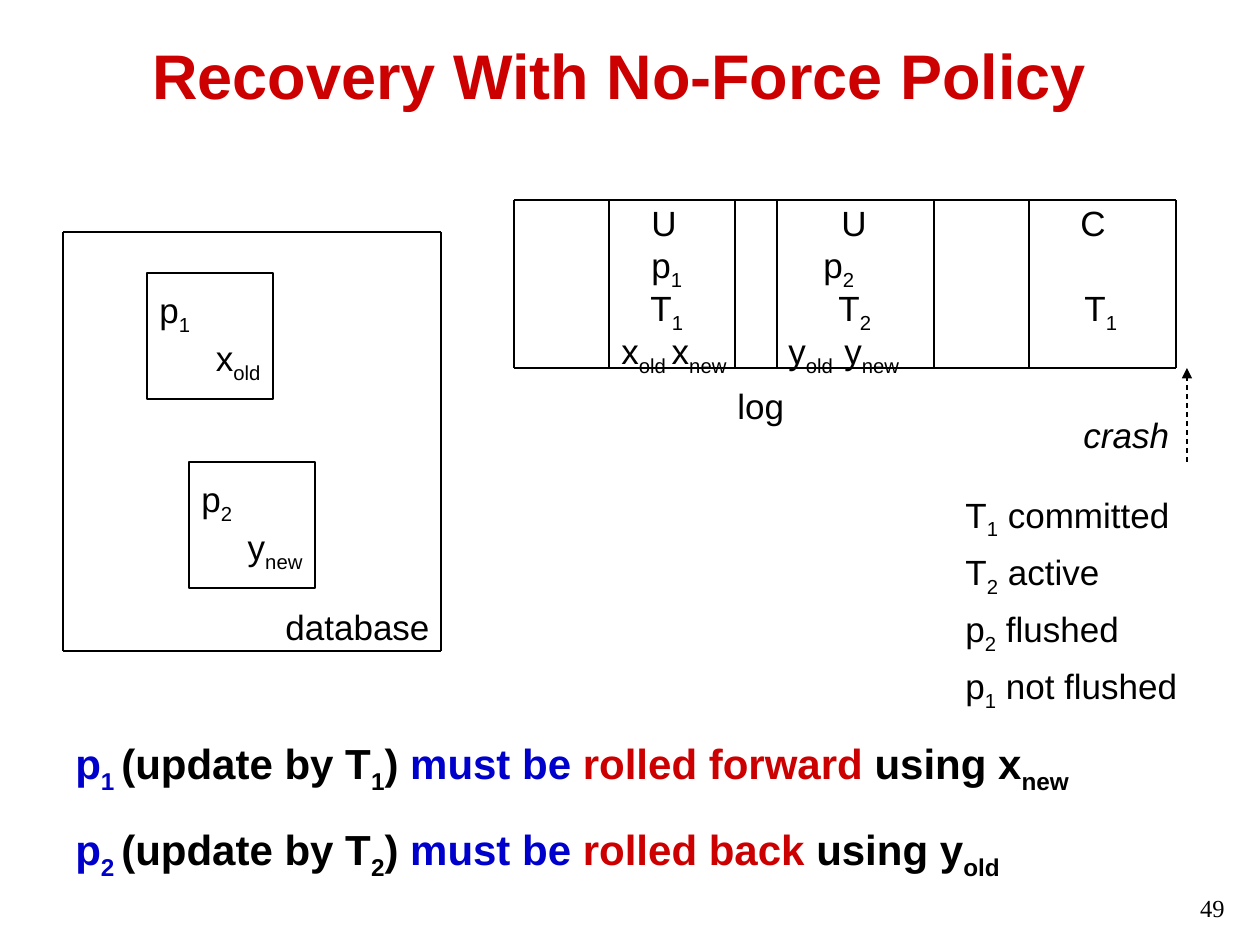
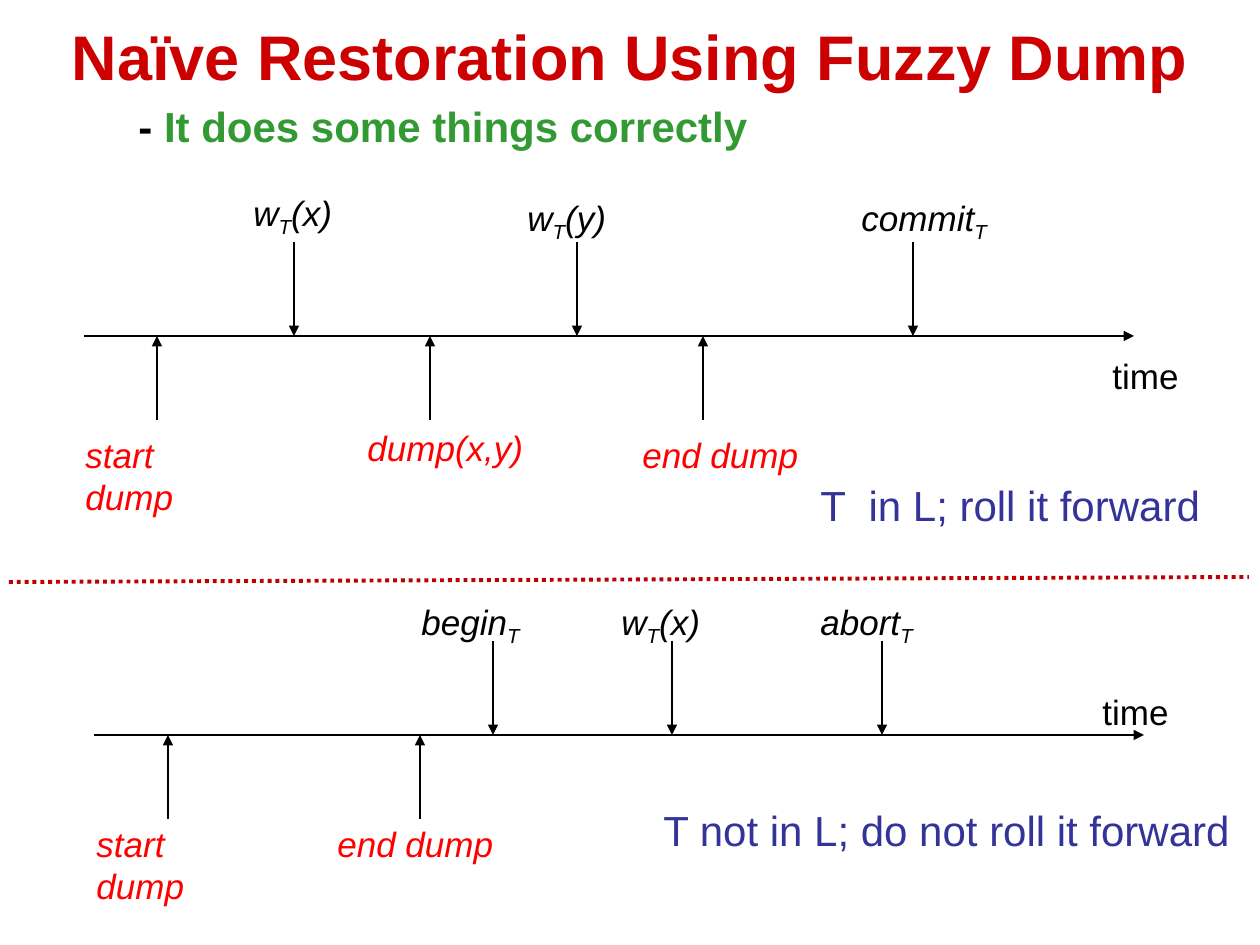
from lxml.etree import SubElement
from pptx import Presentation
from pptx.dml.color import RGBColor
from pptx.enum.dml import MSO_LINE
from pptx.enum.shapes import MSO_CONNECTOR, MSO_SHAPE
from pptx.enum.text import MSO_ANCHOR as Anchor, MSO_AUTO_SIZE as AutoSize, PP_ALIGN as Align
from pptx.oxml.ns import qn
from pptx.util import Emu, Pt

PX_PER_INCH = 126
BLACK, WHITE, RED = "000000", "FFFFFF", "CC0000"
BLUE, GREEN, INDIGO, DUMP_RED, DIVIDER_RED = "0000CC", "339933", "333399", "FF0000", "C00000"
BODY_FONT, NUMBER_FONT = "Arial", "Times New Roman"

RECOVERY_TITLE = ("Recovery With No-Force Policy", (84, 32, 1071, 84))
RESTORATION_TITLE = ("Naïve Restoration Using Fuzzy Dump", (0, 0, 1260, 110))
SLIDE_NUMBER = ("49", (1114, 887, 123, 44))

DATABASE = (63, 232, 441, 651)
DATABASE_PAGES = [
    ((147, 273), "p_1_", "x_old_"),
    ((189, 462), "p_2_", "y_new_"),
]
PAGE_SIZE = 126

LOG_TOP, LOG_BOTTOM = 200, 368
LOG_DIVIDERS = [514, 609, 735, 777, 934, 1029, 1176]
LOG_RECORDS = [
    ("\tU\tU\tC", (30, 220, 459)),
    ("\tp_1_\tp_2_", (30, 202)),
    ("\tT_1_\tT_2_\tT_1_", (29, 217, 463)),
    ("x_old _x_new_\ty_old_\ty_new_", (167, 223)),
]
STATES = ["T_1_ committed", "T_2_ active", "p_2_ flushed", "p_1_ not flushed"]
CONCLUSIONS = [
    [("p_1 _", BLUE), ("(update by T_1_) ", BLACK), ("must be ", BLUE),
     ("rolled forward", RED), (" using x_new_", BLACK)],
    [("p_2 _", BLUE), ("(update by T_2_) ", BLACK), ("must be ", BLUE),
     ("rolled back", RED), (" using y_old_", BLACK)],
]

TIMELINES = [
    {
        "axis": (84, 1134, 336),
        "events": [294, 577, 913],
        "dumps": [157, 430, 703],
        "event_labels": [("w_T_(x)", (241, 185, 125, 54)), ("w_T_(y)", (515, 190, 125, 54)),
                         ("commit_T_", (849, 190, 170, 54))],
        "dump_labels": [("start dump", (73, 427, 130, 96)), ("dump(x,y)", (355, 420, 233, 54)),
                        ("end dump", (630, 427, 200, 54))],
        "time": (1100, 348, 110, 54),
        "verdict": ("T  in L; roll it forward", (808, 473, 420, 63)),
    },
    {
        "axis": (94, 1144, 735),
        "events": [493, 672, 882],
        "dumps": [168, 420],
        "event_labels": [("begin_T_", (409, 594, 135, 54)), ("w_T_(x)", (609, 594, 125, 54)),
                         ("abort_T_", (808, 594, 130, 54))],
        "dump_labels": [("start dump", (84, 816, 130, 96)), ("end dump", (325, 816, 200, 54))],
        "time": (1090, 684, 110, 54),
        "verdict": ("T not in L; do not roll it forward", (651, 798, 605, 63)),
    },
]
EVENT_ARROW, DUMP_ARROW = 94, 84


def px(length):
    return Emu(round(length * 914400 / PX_PER_INCH))


def color(hex_string):
    return RGBColor.from_string(hex_string)


def add_runs(paragraph, pieces, size, bold=False, italic=False, font=BODY_FONT):
    for text, tint in pieces:
        for index, part in enumerate(text.split("_")):
            if not part:
                continue
            run = paragraph.add_run()
            run.text = part
            run.font.name = font
            run.font.size = Pt(size)
            run.font.bold = bold
            run.font.italic = italic
            run.font.color.rgb = color(tint)
            if index % 2:
                run.font._element.set("baseline", "-25000")


def next_paragraph(frame):
    first = frame.paragraphs[0]
    return frame.add_paragraph() if first.runs else first


def add_frame(slide, box):
    frame = slide.shapes.add_textbox(*map(px, box)).text_frame
    frame.word_wrap = True
    return frame


def add_label(slide, text, box, size=20, tint=BLACK, **style):
    paragraph = add_frame(slide, box).paragraphs[0]
    add_runs(paragraph, [(text, tint)], size, **style)
    return paragraph


def add_line(slide, start, end, tint=BLACK, width=0.75, dash=None, arrow=False):
    line = slide.shapes.add_connector(MSO_CONNECTOR.STRAIGHT, *map(px, start + end))
    line.line.color.rgb = color(tint)
    line.line.width = Pt(width)
    if dash is not None:
        line.line.dash_style = dash
    properties = line._element.spPr
    if arrow:
        SubElement(properties.find(qn("a:ln")), qn("a:tailEnd"), type="triangle")
    SubElement(properties, qn("a:effectLst"))


def add_titled_slide(presentation, text, box):
    slide = presentation.slides.add_slide(presentation.slide_layouts[5])
    title = slide.shapes.title
    title.left, title.top, title.width, title.height = map(px, box)
    frame = title.text_frame
    frame.auto_size = AutoSize.NONE
    frame.word_wrap = True
    frame.vertical_anchor = Anchor.MIDDLE
    frame.paragraphs[0].alignment = Align.CENTER
    add_runs(frame.paragraphs[0], [(text, RED)], 36, bold=True)
    return slide


def add_database(slide):
    left, top, right, bottom = DATABASE
    for x in (left, right):
        add_line(slide, (x, top), (x, bottom))
    for y in (top, bottom):
        add_line(slide, (left, y), (right, y))
    for corner, page_name, value in DATABASE_PAGES:
        page = slide.shapes.add_shape(MSO_SHAPE.RECTANGLE, *map(px, corner + (PAGE_SIZE, PAGE_SIZE)))
        page.shadow.inherit = False
        page.fill.solid()
        page.fill.fore_color.rgb = color(WHITE)
        page.line.color.rgb = color(BLACK)
        page.line.width = Pt(0.75)
        frame = page.text_frame
        frame.vertical_anchor = Anchor.TOP
        frame.margin_top = px(16)
        for text, alignment in ((page_name, Align.LEFT), (value, Align.RIGHT)):
            paragraph = next_paragraph(frame)
            paragraph.alignment = alignment
            add_runs(paragraph, [(text, BLACK)], 20)
    add_label(slide, "database", (273, 599, 180, 54))


def add_log(slide):
    for y in (LOG_TOP, LOG_BOTTOM):
        add_line(slide, (LOG_DIVIDERS[0], y), (LOG_DIVIDERS[-1], y))
    for x in LOG_DIVIDERS:
        add_line(slide, (x, LOG_TOP), (x, LOG_BOTTOM))
    frame = add_frame(slide, (609, LOG_TOP, 540, 189))
    for text, stops in LOG_RECORDS:
        paragraph = next_paragraph(frame)
        tabs = SubElement(paragraph._p.get_or_add_pPr(), qn("a:tabLst"))
        for stop in stops:
            SubElement(tabs, qn("a:tab"), pos=str(px(stop)), algn="l")
        paragraph.line_spacing = 0.9
        add_runs(paragraph, [(text, BLACK)], 20)
    add_label(slide, "log", (725, 378, 85, 54))
    add_line(slide, (1187, 462), (1187, LOG_BOTTOM), dash=MSO_LINE.DASH, arrow=True)


def add_states(slide):
    frame = add_frame(slide, (935, 399, 275, 292))
    for index, text in enumerate(["crash"] + STATES):
        paragraph = next_paragraph(frame)
        is_crash = index == 0
        paragraph._p.get_or_add_pPr().set("marL", str(px(136 if is_crash else 18)))
        paragraph.line_spacing = 1.2
        if index == 1:
            paragraph.space_before = Pt(16)
        add_runs(paragraph, [(text, BLACK)], 20, italic=is_crash)


def add_conclusions(slide):
    frame = add_frame(slide, (63, 703, 1137, 165))
    for pieces in CONCLUSIONS:
        paragraph = next_paragraph(frame)
        paragraph.line_spacing = 1.5
        add_runs(paragraph, pieces, 24, bold=True)


def add_timeline(slide, timeline):
    left, right, y = timeline["axis"]
    add_line(slide, (left, y), (right, y), arrow=True)
    for x in timeline["events"]:
        add_line(slide, (x, y - EVENT_ARROW), (x, y), arrow=True)
    for x in timeline["dumps"]:
        add_line(slide, (x, y + DUMP_ARROW), (x, y), arrow=True)
    for text, box in timeline["event_labels"]:
        add_label(slide, text, box, italic=True)
    for text, box in timeline["dump_labels"]:
        add_label(slide, text, box, tint=DUMP_RED, italic=True)
    add_label(slide, "time", timeline["time"])
    add_label(slide, *timeline["verdict"], size=24, tint=INDIGO)


def main():
    presentation = Presentation()
    presentation.slide_width, presentation.slide_height = px(1260), px(945)

    recovery = add_titled_slide(presentation, *RECOVERY_TITLE)
    add_database(recovery)
    add_log(recovery)
    add_states(recovery)
    add_conclusions(recovery)
    add_label(recovery, *SLIDE_NUMBER, size=14, font=NUMBER_FONT).alignment = Align.RIGHT

    restoration = add_titled_slide(presentation, *RESTORATION_TITLE)
    subtitle = add_frame(restoration, (126, 94, 650, 63)).paragraphs[0]
    add_runs(subtitle, [("- ", BLACK), ("It does some things correctly", GREEN)], 24, bold=True)
    for timeline in TIMELINES:
        add_timeline(restoration, timeline)
    add_line(restoration, (9, 582), (1249, 577), DIVIDER_RED, 2.25, MSO_LINE.ROUND_DOT)

    presentation.save("out.pptx")


if __name__ == "__main__":
    main()
